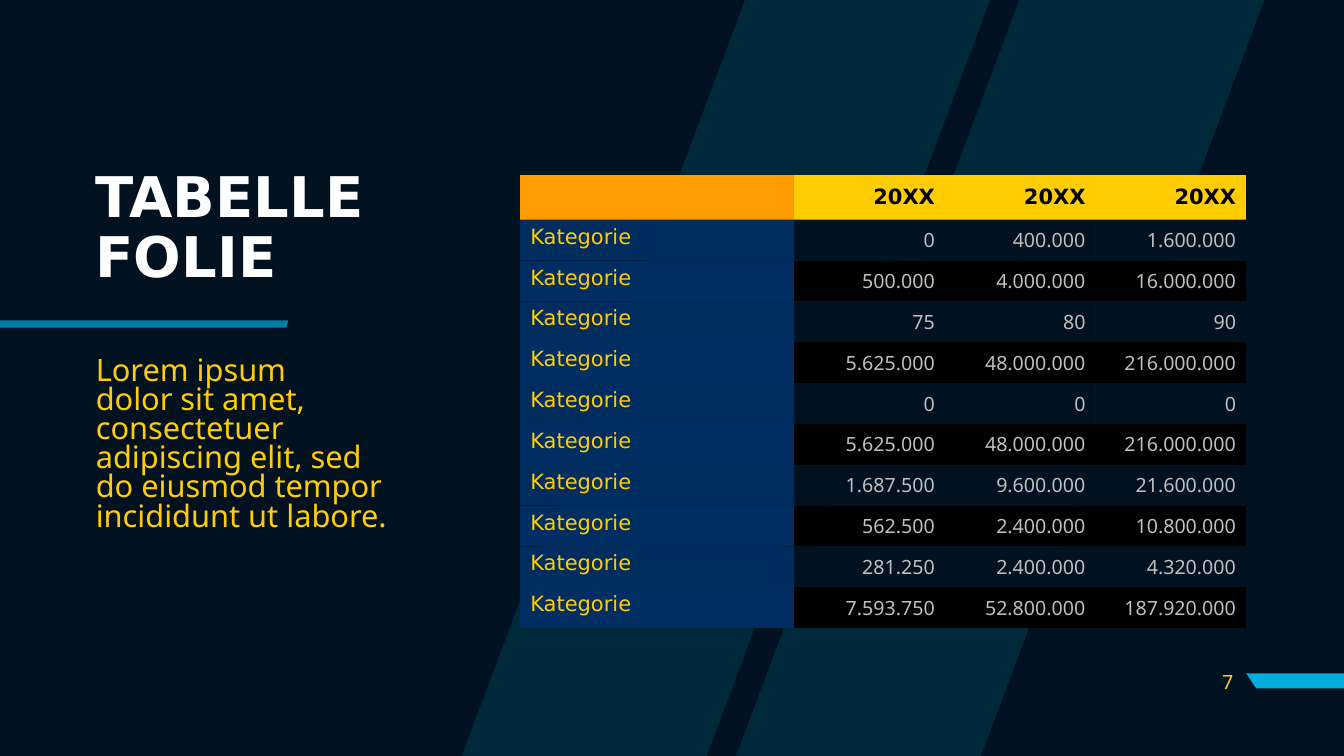
from lxml import etree
from pptx import Presentation
from pptx.dml.color import RGBColor
from pptx.enum.text import MSO_ANCHOR, MSO_AUTO_SIZE, PP_ALIGN
from pptx.oxml.ns import qn
from pptx.util import Inches, Pt

LEFT, RIGHT = PP_ALIGN.LEFT, PP_ALIGN.RIGHT
TOP, MIDDLE = MSO_ANCHOR.TOP, MSO_ANCHOR.MIDDLE
FIXED_SIZE = MSO_AUTO_SIZE.NONE

COLORS = {
    "night": "00111F", "cyan": "00AEDE", "white": "FFFFFF", "black": "000000",
    "yellow": "FFCD00", "orange": "FF9D00", "navy": "002E62", "grey": "BFBFBF",
}
HEADING_FONT, TEXT_FONT = "DejaVu Sans", "Noto Sans"
PLAIN_TABLE_STYLE = "{2D5ABB26-0587-4C30-8999-92F81FD0307C}"

HEADER = ["", "20XX", "20XX", "20XX"]
VALUES = [
    ["0", "400.000", "1.600.000"],
    ["500.000", "4.000.000", "16.000.000"],
    ["75", "80", "90"],
    ["5.625.000", "48.000.000", "216.000.000"],
    ["0", "0", "0"],
    ["5.625.000", "48.000.000", "216.000.000"],
    ["1.687.500", "9.600.000", "21.600.000"],
    ["562.500", "2.400.000", "10.800.000"],
    ["281.250", "2.400.000", "4.320.000"],
    ["7.593.750", "52.800.000", "187.920.000"],
]


def paint(fill, color, opacity=100):
    """Fill with a named colour; opacity is in percent."""
    fill.solid()
    fill.fore_color.rgb = RGBColor.from_string(COLORS[color])
    if opacity < 100:
        rgb = next(fill._xPr.iter(qn("a:srgbClr")))
        etree.SubElement(rgb, qn("a:alpha")).set("val", str(opacity * 1000))


def write(frame, text, font=TEXT_FONT, size=14, color="yellow", bold=False,
          align=LEFT, line_spacing=None):
    """Put one paragraph in a text frame; a newline is a line break."""
    paragraph = frame.paragraphs[0]
    paragraph.text = text
    paragraph.alignment = align
    if line_spacing:
        paragraph.line_spacing = line_spacing
    for run in paragraph.runs:
        run.font.name = font
        run.font.size = Pt(size)
        run.font.bold = bold
        run.font.color.rgb = RGBColor.from_string(COLORS[color])
    return paragraph


class TableSlide:
    def __init__(self, presentation):
        self.slide = presentation.slides.add_slide(presentation.slide_layouts[1])
        paint(self.slide.background.fill, "night")

    def add_outline(self, *contours, opacity=100):
        """Draw closed contours, given as points in inches, as one cyan shape."""
        builder = None
        for contour in contours:
            start, *rest = [(Inches(x), Inches(y)) for x, y in contour]
            if builder is None:
                builder = self.slide.shapes.build_freeform(*start)
            else:
                builder.move_to(*start)
            builder.add_line_segments(rest, close=True)
        shape = builder.convert_to_shape()
        shape.shadow.inherit = False
        shape.line.fill.background()
        paint(shape.fill, "cyan", opacity)

    def fill_placeholder(self, index, text, box, anchor, **style):
        holder = self.slide.placeholders[index]
        holder.left, holder.top, holder.width, holder.height = map(Inches, box)
        frame = holder.text_frame
        frame.word_wrap = True
        frame.auto_size = FIXED_SIZE
        frame.vertical_anchor = anchor
        properties = write(frame, text, **style)._p.get_or_add_pPr()
        properties.set("marL", "0")
        properties.set("indent", "0")
        etree.SubElement(properties, qn("a:buNone"))

    def add_text(self, text, box, **style):
        frame = self.slide.shapes.add_textbox(*map(Inches, box)).text_frame
        frame.word_wrap = True
        frame.vertical_anchor = MIDDLE
        write(frame, text, **style)

    def fill_cell(self, cell, text, backdrop, opacity=100, anchor=MIDDLE, **style):
        paint(cell.fill, backdrop, opacity)
        cell.vertical_anchor = anchor
        if text:
            write(cell.text_frame, text, **style)

    def add_table(self, box, label_width):
        width = box[2]
        table = self.slide.shapes.add_table(
            len(VALUES) + 1, len(HEADER), *map(Inches, box)).table
        table.first_row = table.horz_banding = False
        next(table._tbl.iter(qn("a:tableStyleId"))).text = PLAIN_TABLE_STYLE
        table.rows[0].height = Inches(0.44)
        value_width = (width - label_width) / (len(HEADER) - 1)
        for number, column in enumerate(table.columns):
            column.width = Inches(value_width if number else label_width)

        for column, year in enumerate(HEADER):
            self.fill_cell(table.cell(0, column), year,
                           "yellow" if column else "orange", font=HEADING_FONT,
                           size=15, color="black", bold=True, align=RIGHT)
        for row, values in enumerate(VALUES, start=1):
            band, opacity = ("night", 95) if row % 2 else ("black", 100)
            self.fill_cell(table.cell(row, 0), "Kategorie", "navy", opacity,
                           anchor=TOP, font=HEADING_FONT, size=15)
            for column, value in enumerate(values, start=1):
                self.fill_cell(table.cell(row, column), value, band, opacity,
                               color="grey", align=RIGHT)


def main():
    presentation = Presentation()
    presentation.slide_width = Inches(13.33)
    presentation.slide_height = Inches(7.5)
    page = TableSlide(presentation)

    stripes = [[(x, 0), (x - 2.81, 7.5), (x - 0.38, 7.5), (x + 2.43, 0)]
               for x in (10.11, 7.39)]
    page.add_outline(*stripes, opacity=15)
    page.add_outline([(13.33, 6.68), (13.33, 6.83), (12.46, 6.83), (12.36, 6.68)])
    page.add_outline([(0, 3.18), (0, 3.25), (2.84, 3.25), (2.86, 3.18)], opacity=70)

    page.fill_placeholder(0, "TABELLE\nFOLIE", (0.85, 1.44, 3.09, 1.67), MIDDLE,
                          font=HEADING_FONT, size=40, color="white", bold=True,
                          line_spacing=0.9)
    page.fill_placeholder(
        1, "Lorem ipsum\ndolor sit amet, consectetuer adipiscing elit, sed\n"
        "do eiusmod tempor incididunt ut labore.",
        (0.85, 3.5, 3.09, 2.36), TOP, size=22, line_spacing=0.79)
    page.add_table((5.16, 1.74, 7.2, 4.46), label_width=2.72)
    page.add_text("7", (11.73, 6.56, 0.6, 0.4), align=RIGHT)
    presentation.save("out.pptx")


if __name__ == "__main__":
    main()
